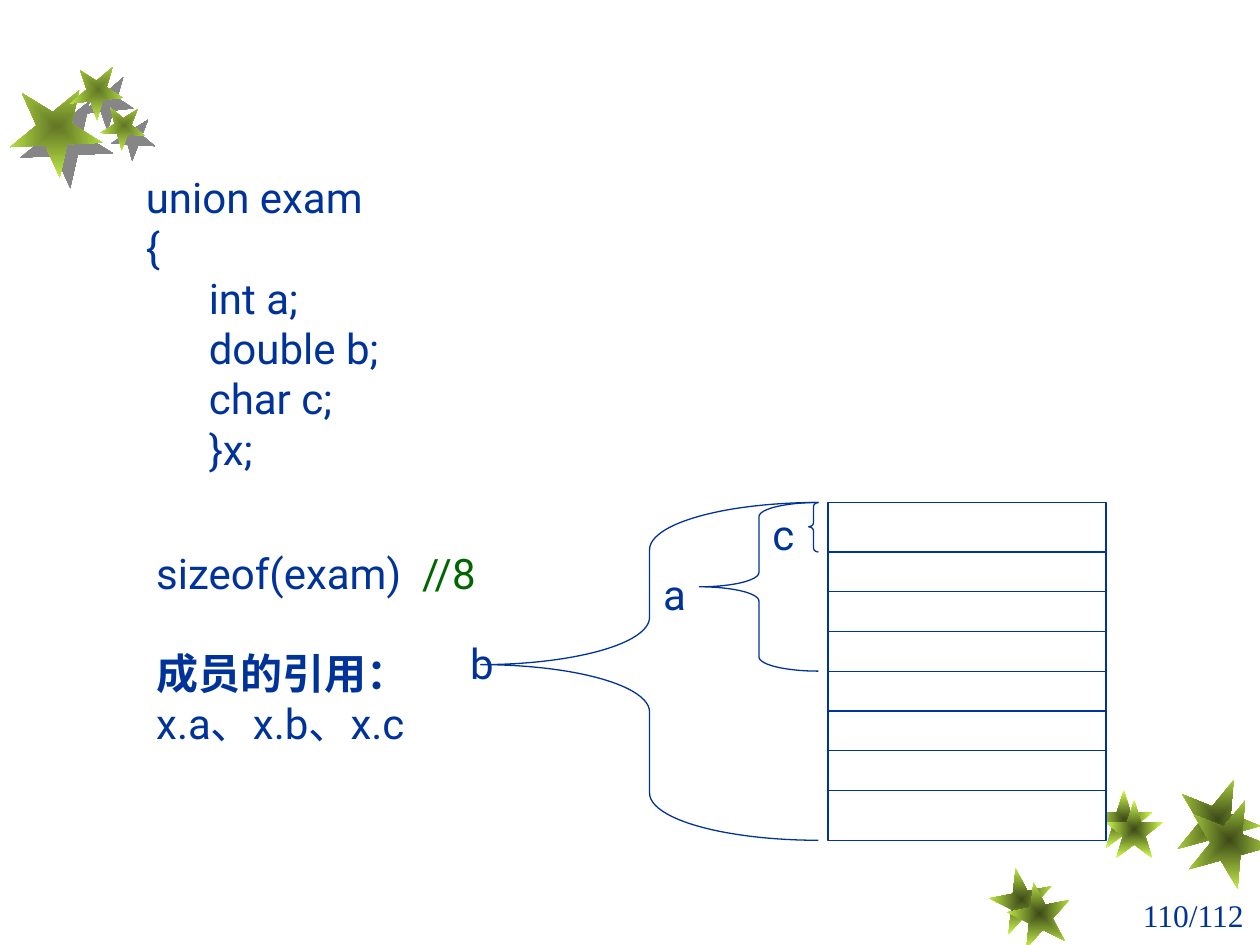
from dataclasses import dataclass

from lxml.etree import SubElement
from pptx import Presentation
from pptx.dml.color import RGBColor
from pptx.enum.shapes import MSO_CONNECTOR as Link, MSO_SHAPE as Preset
from pptx.enum.text import MSO_AUTO_SIZE as AutoSize, PP_ALIGN as Align
from pptx.oxml import parse_xml
from pptx.oxml.ns import nsdecls, qn
from pptx.util import Cm, Pt


@dataclass(frozen=True)
class Theme:
    ink: str = "003399"
    comment: str = "006600"
    white: str = "FFFFFF"
    leaf: str = "D1FF4F"
    dark_core: str = "3C4917"
    light_core: str = "617625"
    shadow: str = "868686"
    font: str = "Roboto"
    number_font: str = "Times New Roman"
    body: int = 24
    number: int = 18
    line: float = 0.75


theme = Theme()
deck = Presentation()
deck.slide_width, deck.slide_height = Cm(25.4), Cm(19.05)
page = deck.slides.add_slide(deck.slide_layouts[6])


def add_text(place, paragraphs, align=Align.LEFT, font=theme.font, size=theme.body):
    """Each paragraph is (indent in cm, [(text, colour, bold), ...])."""
    box = page.shapes.add_textbox(*map(Cm, place))
    frame = box.text_frame
    frame.word_wrap = True
    frame.auto_size = AutoSize.NONE
    for index, (indent, spans) in enumerate(paragraphs):
        para = frame.add_paragraph() if index else frame.paragraphs[0]
        para.alignment = align
        if indent:
            para._p.get_or_add_pPr().set("marL", str(Cm(indent)))
        for text, colour, bold in spans:
            span = para.add_run()
            span.text = text
            span.font.name = font
            span.font.size = Pt(size)
            span.font.bold = bold
            span.font.color.rgb = RGBColor.from_string(colour)


def add_star(left, top, width, height, turn, core):
    star = page.shapes.add_shape(Preset.STAR_5_POINT, *map(Cm, (left, top, width, height)))
    star.rotation = turn
    star.line.fill.background()
    star.shadow.inherit = False
    star._element.spPr.insert(2, parse_xml(
        f'<a:gradFill {nsdecls("a")} rotWithShape="1"><a:gsLst>'
        f'<a:gs pos="0"><a:srgbClr val="{core}"/></a:gs>'
        f'<a:gs pos="100000"><a:srgbClr val="{theme.leaf}"/></a:gs></a:gsLst>'
        '<a:path path="rect"><a:fillToRect l="50000" t="50000" r="50000" b="50000"/></a:path>'
        '</a:gradFill>'))
    return star


# Stars at the lower right: a back row and a front row
for left, top, side, turn in [
    (19.96, 17.5, 1.27, 349), (22.07, 15.93, 1.17, 0), (23.7, 15.67, 1.7, 22),
    (20.32, 17.78, 1.27, 349), (22.28, 16.13, 1.17, 0), (23.93, 16.08, 1.7, 22),
]:
    add_star(left, top, side, side, turn, theme.dark_core)

# Stars with hard shadows at the upper left
for place in [
    (0.2, 1.7, 1.9, 1.7, 31.6), (1.47, 1.27, 1.02, 1.07, 32.7), (2.06, 2.11, 0.89, 0.84, 39.3),
]:
    star = add_star(*place, theme.light_core)
    effects = star._element.spPr.find(qn("a:effectLst"))
    shade = SubElement(effects, qn("a:outerShdw"), blurRad="0", dist=str(Pt(8.5)),
                       dir="2700000", algn="ctr", rotWithShape="0")
    SubElement(shade, qn("a:srgbClr"), val=theme.shadow)

# Page number
add_text((22.71, 17.93, 2.69, 1.78), [(0, [("110/112", theme.ink, False)])],
         Align.CENTER, theme.number_font, theme.number)

# Union declaration
declaration = [("union exam", 0), ("{", 0), ("int a;", 1.27), ("double b;", 1.27),
               ("char c;", 1.27), ("}x;", 1.27)]
add_text((2.69, 3.33, 9.4, 6.35),
         [(indent, [(code, theme.ink, False)]) for code, indent in declaration])

# Memory block of eight bytes
block_left, block_top, block_width, block_height = 16.69, 10.13, 5.61, 6.81
block = page.shapes.add_shape(
    Preset.RECTANGLE, *map(Cm, (block_left, block_top, block_width, block_height)))
block.shadow.inherit = False
block.fill.solid()
block.fill.fore_color.rgb = RGBColor.from_string(theme.white)
block.line.color.rgb = RGBColor.from_string(theme.ink)
block.line.width = Pt(theme.line)

first_row, row_step, row_count = 11.13, 0.8, 7
for row in range(row_count):
    y = Cm(first_row + row * row_step)
    divider = page.shapes.add_connector(
        Link.STRAIGHT, Cm(block_left), y, Cm(block_left + block_width), y)
    if row == row_count // 2:
        divider.begin_connect(block, 1)
        divider.end_connect(block, 3)
    divider.line.color.rgb = RGBColor.from_string(theme.ink)
    divider.line.width = Pt(theme.line)
    SubElement(divider._element.spPr, qn("a:effectLst"))

# Braces with member names: bytes used by c, a and b
brace_right = 16.5
for name, width, height, curve, tip, label in [
    ("c", 0.2, 1.0, 0.4, 0.49, (15.09, 10.13, 1.4, 1.27)),
    ("a", 2.4, 3.4, 0.12, 0.5, (12.9, 11.33, 1.4, 1.27)),
    ("b", 6.81, 6.81, 0.14, 0.48, (8.71, 12.73, 2.01, 1.27)),
]:
    brace = page.shapes.add_shape(
        Preset.LEFT_BRACE, *map(Cm, (brace_right - width, block_top, width, height)))
    brace.shadow.inherit = False
    brace.adjustments[0], brace.adjustments[1] = curve, tip
    brace.fill.background()
    brace.line.color.rgb = RGBColor.from_string(theme.ink)
    brace.line.width = Pt(theme.line)
    add_text(label, [(0, [(name, theme.ink, False)])], Align.CENTER)

# Size and member access
add_text((2.9, 10.92, 7.21, 1.27),
         [(0, [("sizeof(exam)  ", theme.ink, False), ("//8", theme.comment, False)])])
add_text((2.9, 12.93, 5.79, 4.85),
         [(0, [("成员的引用：", theme.ink, True), ("x.a、x.b、x.c", theme.ink, False)])])

deck.save("out.pptx")
